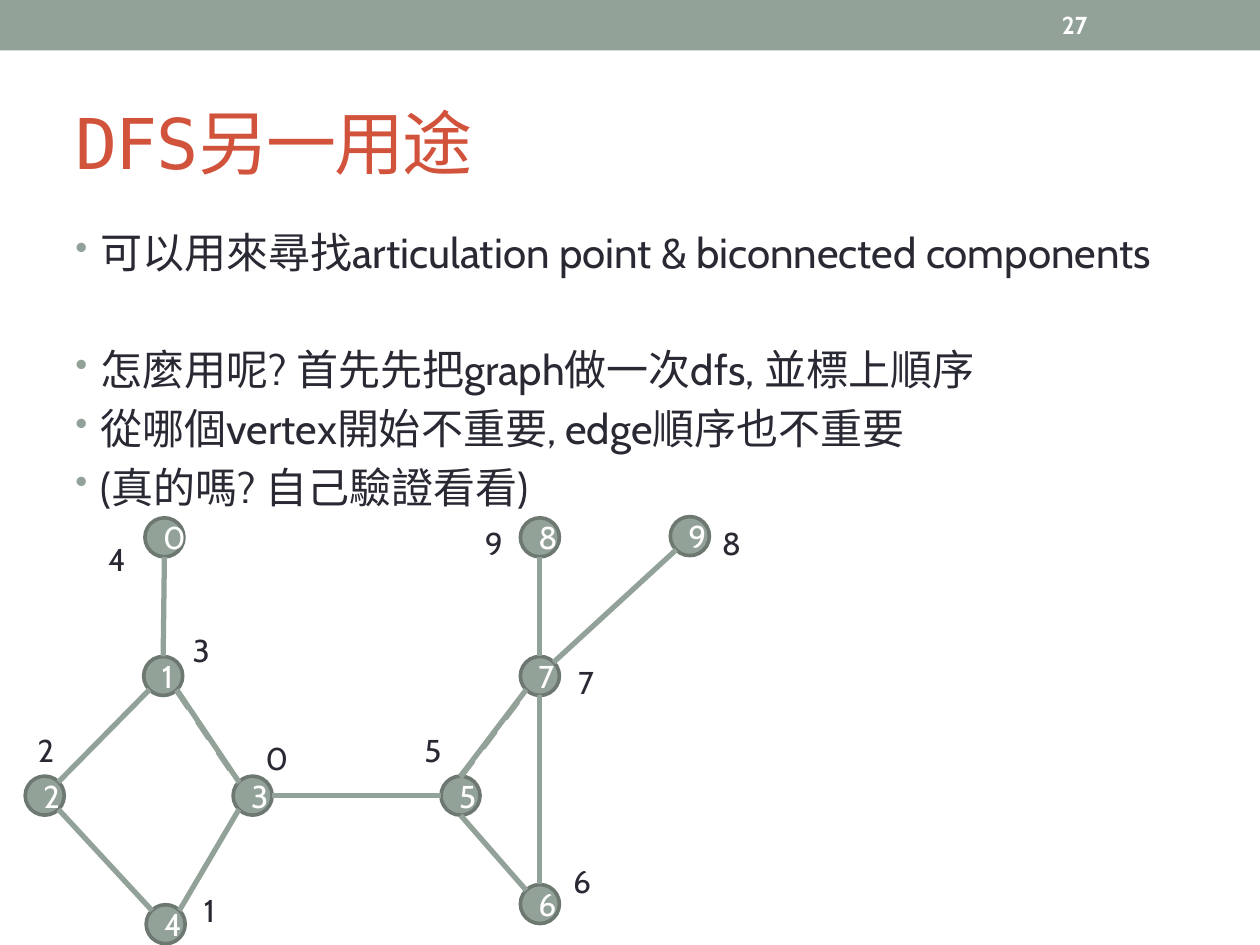
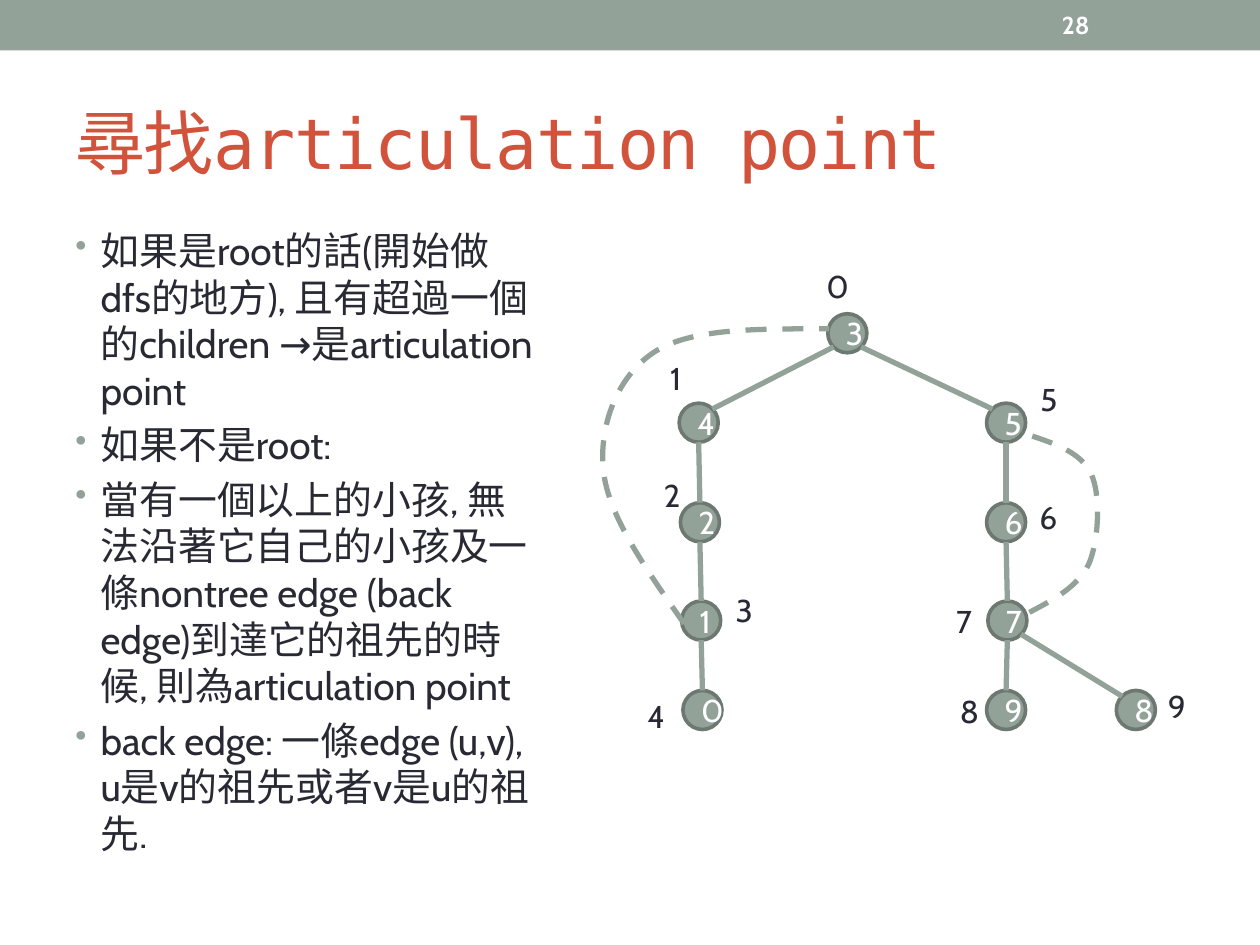
import pptx
import pptx.util
import pptx.dml.color
import pptx.enum.dml
import pptx.enum.shapes
import pptx.enum.text
import pptx.oxml.ns
from lxml import etree

EMU_PER_PX = 9144
NODE_SIZE = 31
COLORS = {"sage": "93A299", "rim": "6D7871", "title": "D2533C",
          "ink": "292934", "white": "FFFFFF"}
FONTS = {"body": "Cabin", "title": "DejaVu Sans Mono"}
SITES = {"N": (0.5, 0), "S": (0.5, 1), "W": (0, 0.5), "E": (1, 0.5),
         "NW": (0.15, 0.15), "NE": (0.85, 0.15),
         "SW": (0.15, 0.85), "SE": (0.85, 0.85)}


def px(length):
    return pptx.util.Emu(round(length * EMU_PER_PX))


def rgb(name):
    return pptx.dml.color.RGBColor.from_string(COLORS[name])


def add_xml(parent, tag, **attributes):
    return etree.SubElement(parent, pptx.oxml.ns.qn(tag), **attributes)


class GraphDeck:
    def __init__(self):
        self.deck = pptx.Presentation()
        self.deck.slide_width, self.deck.slide_height = px(1000), px(750)

    def new_page(self, title, number):
        self.page = self.deck.slides.add_slide(self.deck.slide_layouts[6])
        self.nodes = {}
        band = self.shape(pptx.enum.shapes.MSO_SHAPE.RECTANGLE, 0, 0, 1000, 40)
        band.line.fill.background()
        heading = self.text(title, 50, 58, 900, 108, 40, "title", FONTS["title"])
        self.center_vertically(heading)
        heading.text_frame.paragraphs[0].runs[0].font._element.set("spc", "-100")
        page_number = self.text(number, 833, 2, 117, 36, 14, "white", bold=True)
        self.center_vertically(page_number)

    def shape(self, kind, left, top, width, height):
        shape = self.page.shapes.add_shape(
            kind, px(left), px(top), px(width), px(height))
        shape.shadow.inherit = False
        shape.fill.solid()
        shape.fill.fore_color.rgb = rgb("sage")
        return shape

    def center_vertically(self, box):
        box.text_frame.vertical_anchor = pptx.enum.text.MSO_ANCHOR.MIDDLE

    def fill_text(self, frame, text, size, color, font=FONTS["body"], bold=False):
        frame.text = text
        for para in frame.paragraphs:
            for span in para.runs:
                span.font.name = font
                span.font.size = pptx.util.Pt(size)
                span.font.bold = bold
                span.font.color.rgb = rgb(color)

    def text(self, text, left, top, width, height, size, color, font=FONTS["body"], bold=False):
        box = self.page.shapes.add_textbox(px(left), px(top), px(width), px(height))
        box.text_frame.word_wrap = True
        self.fill_text(box.text_frame, text, size, color, font, bold)
        return box

    def bullets(self, lines, width, size, gaps):
        box = self.text("\n".join(lines), 50, 175, width, 533, size, "ink")
        for index, para in enumerate(box.text_frame.paragraphs):
            if index:
                para.space_before = pptx.util.Pt(gaps.get(index, size * 0.2))
            properties = para._element.get_or_add_pPr()
            properties.set("marL", str(px(20)))
            properties.set("indent", str(px(-20)))
            add_xml(add_xml(properties, "a:buClr"), "a:srgbClr", val=COLORS["sage"])
            add_xml(properties, "a:buSzPct", val="85000")
            add_xml(properties, "a:buChar", char="•")

    def node(self, name, left, top):
        circle = self.shape(pptx.enum.shapes.MSO_SHAPE.OVAL, left, top, NODE_SIZE, NODE_SIZE)
        circle.line.color.rgb = rgb("rim")
        circle.line.width = pptx.util.Pt(2.08)
        self.fill_text(circle.text_frame, name, 18, "white")
        circle.text_frame.paragraphs[0].alignment = pptx.enum.text.PP_ALIGN.CENTER
        self.center_vertically(circle)
        self.nodes[name] = (left, top)

    def site(self, name, side):
        return [px(start + NODE_SIZE * share)
                for start, share in zip(self.nodes[name], SITES[side])]

    def stroke(self, line, dashed):
        line.color.rgb = rgb("sage")
        line.width = pptx.util.Pt(3)
        if dashed:
            line.dash_style = pptx.enum.dml.MSO_LINE.DASH

    def edge(self, start, start_side, end, end_side, dashed=False):
        edge = self.page.shapes.add_connector(
            pptx.enum.shapes.MSO_CONNECTOR.STRAIGHT,
            *self.site(start, start_side), *self.site(end, end_side))
        if dashed:
            edge.top += px(1)
        self.stroke(edge.line, dashed)
        add_xml(edge._element.spPr, "a:effectLst")

    def back_edge(self, start, *controls):
        builder = self.page.shapes.build_freeform(*start, scale=EMU_PER_PX)
        builder.add_line_segments(controls, close=False)
        curve = builder.convert_to_shape()
        curve.shadow.inherit = False
        curve.fill.background()
        self.stroke(curve.line, True)
        steps = curve._element.findall(".//" + pptx.oxml.ns.qn("a:lnTo"))
        outline = steps[0].getparent()
        for index in range(0, len(steps), 3):
            bezier = add_xml(outline, "a:cubicBezTo")
            for step in steps[index:index + 3]:
                bezier.append(step[0])
                outline.remove(step)

    def order_label(self, order, left, top, width):
        label = self.text(str(order), left, top, width, 40, 18, "ink")
        label.text_frame.auto_size = pptx.enum.text.MSO_AUTO_SIZE.SHAPE_TO_FIT_TEXT

    def graph(self, nodes, edges, label_places, label_width):
        for name, place in nodes.items():
            self.node(name, *place)
        for edge in edges:
            self.edge(*edge.split())
        for order, place in enumerate(label_places):
            self.order_label(order, *place, label_width)


def usage_page(deck):
    deck.new_page("DFS另一用途", "27")
    deck.bullets([
        "可以用來尋找articulation point & biconnected components",
        "怎麼用呢? 首先先把graph做一次dfs, 並標上順序",
        "從哪個vertex開始不重要, edge順序也不重要",
        "(真的嗎? 自己驗證看看)"], 900, 24, {1: 38})
    deck.graph(
        {"1": (114, 521), "2": (20, 616), "3": (185, 616), "0": (115, 411),
         "4": (116, 718), "5": (350, 616), "7": (413, 521), "6": (413, 702),
         "8": (413, 411), "9": (532, 410)},
        ["0 S 1 N", "1 SW 2 NE", "2 SE 4 NW", "3 SW 4 NE", "1 SE 3 NW", "3 E 5 W",
         "5 N 7 SW", "5 S 6 NW", "7 S 6 N", "7 NE 9 SW", "8 S 7 N"],
        [(201, 582), (152, 702), (20, 575), (143, 496), (76, 424),
         (327, 575), (445, 679), (449, 521), (563, 411), (375, 411)], 39)
    deck.edge("1", "SE", "3", "NW", dashed=True)
    deck.edge("5", "N", "7", "SW", dashed=True)


def search_page(deck):
    deck.new_page("尋找articulation point", "28")
    deck.bullets([
        "如果是root的話(開始做dfs的地方), 且有超過一個的children →是articulation point",
        "如果不是root:",
        "當有一個以上的小孩, 無法沿著它自己的小孩及一條nontree edge (back edge)"
        "到達它的祖先的時候, 則為articulation point",
        "back edge: 一條edge (u,v), u是v的祖先或者v是u的祖先."], 387, 22.2, {})
    deck.graph(
        {"3": (657, 249), "4": (539, 320), "2": (540, 399), "1": (541, 477),
         "0": (542, 548), "5": (783, 320), "6": (783, 399), "7": (784, 477),
         "9": (783, 548), "8": (886, 548)},
        ["3 SW 4 NE", "3 SE 5 NW", "4 S 2 N", "5 S 6 N", "2 S 1 N", "1 S 0 N",
         "6 S 7 N", "7 S 9 N", "7 SE 8 NW"],
        [(646, 207), (522, 280), (517, 373), (574, 464), (504, 548),
         (816, 297), (815, 390), (749, 473), (752, 544), (917, 540)], 33)
    deck.back_edge((817, 486), (836, 476), (855, 466), (864, 448),
                   (872, 430), (874, 393), (866, 376), (858, 359), (837, 352), (816, 345))
    deck.back_edge((543, 495), (513, 452), (483, 410), (479, 374),
                   (475, 338), (490, 298), (520, 279), (550, 260), (604, 261), (658, 261))


def main():
    deck = GraphDeck()
    usage_page(deck)
    search_page(deck)
    deck.deck.save("out.pptx")


if __name__ == "__main__":
    main()
